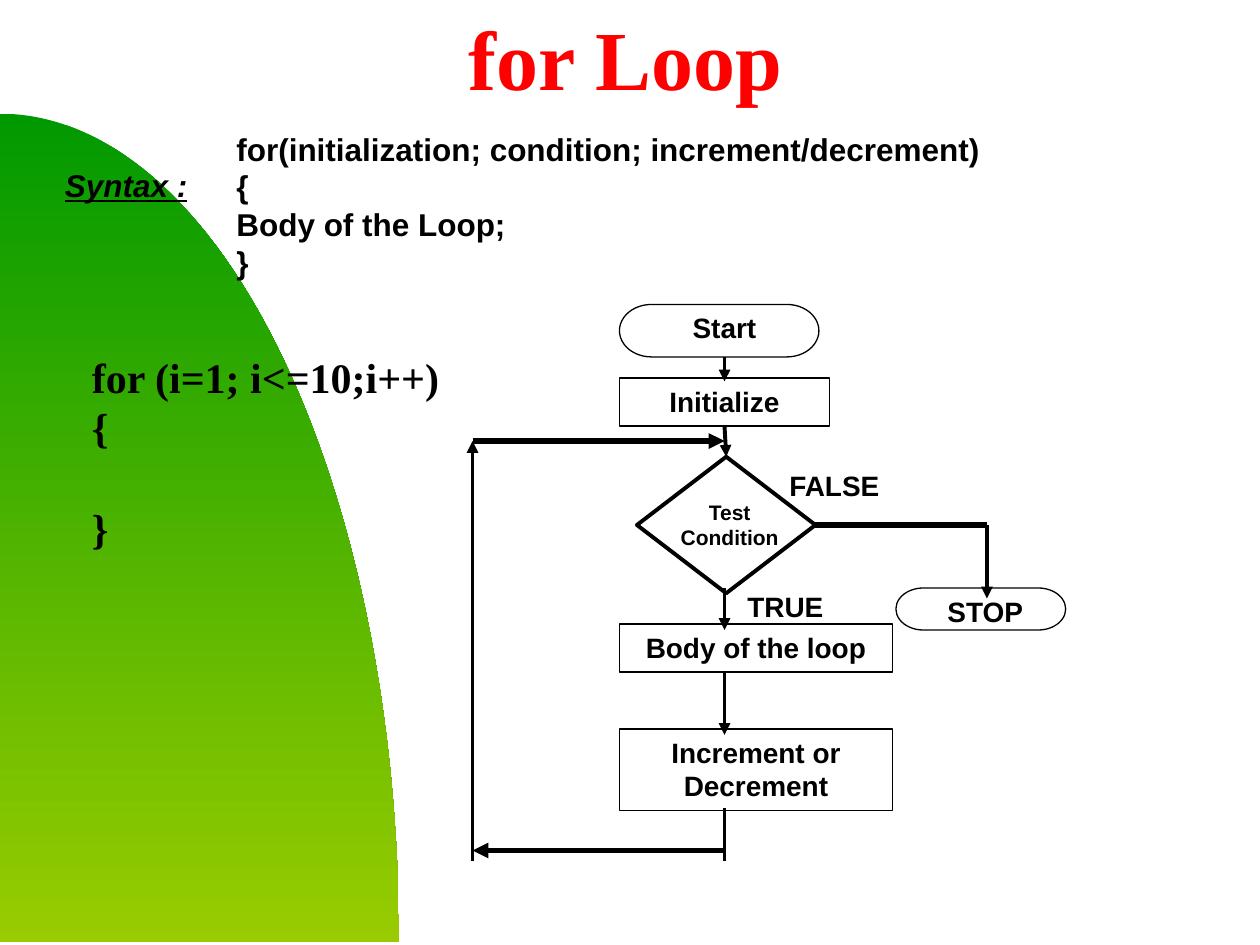
import math
from lxml import etree
from pptx import Presentation
from pptx import util as u
from pptx.dml.color import RGBColor
from pptx.enum import shapes, text
from pptx.oxml.ns import qn

BLACK = "000000"
LABEL = {"name": "Arial", "size": u.Pt(16), "bold": True}
SMALL = {**LABEL, "size": u.Pt(12)}
SYNTAX = {**LABEL, "size": u.Pt(18)}
HEADING = {**SYNTAX, "italic": True, "underline": True}
TITLE = {"name": "Times New Roman", "size": u.Pt(48), "bold": True}
CODE = {**TITLE, "size": u.Pt(24)}
LEFT, CENTER = text.PP_ALIGN.LEFT, text.PP_ALIGN.CENTER
TOP, BOTTOM, RIGHT = 0, 2, 3
FLOW_X, LOOP_X, STOP_X = 414, 270, 564
LOOP_TOP, LOOP_BOTTOM = 252, 486


def color(value):
    return RGBColor.from_string(value)


def write(shape, lines, style, align=LEFT, ink=BLACK):
    frame = shape.text_frame
    frame.word_wrap = True
    frame.vertical_anchor = text.MSO_ANCHOR.TOP
    frame.auto_size = text.MSO_AUTO_SIZE.SHAPE_TO_FIT_TEXT
    for index, line in enumerate(lines):
        para = frame.add_paragraph() if index else frame.paragraphs[0]
        para.alignment = align
        span = para.add_run()
        span.text = line
        for name, value in style.items():
            setattr(span.font, name, value)
        span.font.color.rgb = color(ink)
    return frame


def add_text(page, bounds, lines, style, align=LEFT, ink=BLACK):
    box = page.shapes.add_textbox(*map(u.Pt, bounds))
    return write(box, lines, style, align, ink)


def add_node(page, kind, bounds, label=None, width=0.75):
    node = page.shapes.add_shape(kind, *map(u.Pt, bounds))
    node.shadow.inherit = False
    node.fill.background()
    node.line.color.rgb = color(BLACK)
    node.line.width = u.Pt(width)
    if label:
        write(node, [label], LABEL, CENTER)
    return node


def add_line(page, start, end, width=2.25, arrow=True, source=None, target=None):
    line = page.shapes.add_connector(
        shapes.MSO_CONNECTOR.STRAIGHT, *map(u.Pt, (*start, *end)))
    if source:
        line.begin_connect(*source)
    if target:
        line.end_connect(*target)
    line.line.color.rgb = color(BLACK)
    line.line.width = u.Pt(width)
    if arrow:
        etree.SubElement(line.line._get_or_add_ln(), qn("a:tailEnd"), type="triangle")
    etree.SubElement(line._element.spPr, qn("a:effectLst"))


def add_backdrop(page, top=65, width=228, height=473.5, steps=90):
    angles = [math.pi / 2 * step / steps for step in range(steps + 1)]
    arc = [(width * math.sin(angle), top + height * (1 - math.cos(angle)))
           for angle in angles]
    builder = page.shapes.build_freeform(0, u.Pt(top), scale=1.0)
    builder.add_line_segments(
        [(u.Pt(x), u.Pt(y)) for x, y in arc[1:] + [(0, top + height)]], close=True)
    curve = builder.convert_to_shape()
    curve.shadow.inherit = False
    curve.line.fill.background()
    curve.fill.gradient()
    curve.fill.gradient_angle = 270
    for stop, position, value in zip(curve.fill.gradient_stops, (0, 1), ("009900", "99CC00")):
        stop.position = position
        stop.color.rgb = color(value)


def add_flowchart(page):
    kinds = shapes.MSO_SHAPE
    add_node(page, kinds.FLOWCHART_TERMINATOR, (354, 174, 114, 30))
    add_node(page, kinds.FLOWCHART_TERMINATOR, (512, 336, 97, 24))
    initialize = add_node(page, kinds.RECTANGLE, (354, 216, 120, 27.4), "Initialize")
    add_node(page, kinds.RECTANGLE, (354, 356.6, 156, 27.4), "Body of the loop")
    add_node(page, kinds.RECTANGLE, (354, 416.6, 156, 46.5), "Increment or Decrement")
    test = add_node(page, kinds.DIAMOND, (364, 261, 102, 78), width=2.25)

    add_text(page, (354, 174, 120, 26.6), ["Start"], LABEL, CENTER)
    add_text(page, (512, 336, 102, 26.6), ["STOP"], LABEL, CENTER)
    add_text(page, (378, 282, 78, 36), ["Test Condition"], SMALL, CENTER)
    add_text(page, (420, 333.5, 78, 26.6), ["TRUE"], LABEL)
    add_text(page, (444, 264, 78, 26.6), ["FALSE"], LABEL)

    for start, end in ((204, 218), (336, 360), (384, 420)):
        add_line(page, (FLOW_X, start), (FLOW_X, end))
    add_line(page, (FLOW_X, 243.4), (FLOW_X, 261),
             source=(initialize, BOTTOM), target=(test, TOP))
    add_line(page, (FLOW_X, 462), (FLOW_X, 492), arrow=False)
    add_line(page, (FLOW_X, LOOP_BOTTOM), (LOOP_X, LOOP_BOTTOM), 3)
    add_line(page, (LOOP_X, 492), (LOOP_X, LOOP_TOP))
    add_line(page, (LOOP_X, LOOP_TOP), (FLOW_X, LOOP_TOP), 3)
    add_line(page, (466, 300), (STOP_X, 300), 3, arrow=False, source=(test, RIGHT))
    add_line(page, (STOP_X, 300), (STOP_X, 342))


def main():
    deck = Presentation()
    deck.slide_width, deck.slide_height = u.Pt(720), u.Pt(540)
    page = deck.slides.add_slide(deck.slide_layouts[6])
    add_backdrop(page)
    add_text(page, (30, 91.5, 126, 29), ["Syntax :"], HEADING)
    add_flowchart(page)
    add_text(page, (177, 0, 361, 65.5), ["for Loop"], TITLE, CENTER, "FF0000")
    add_text(page, (128, 70.5, 452, 94.5),
             ["for(initialization; condition; increment/decrement)", "{",
              "Body of the Loop;", "}"], SYNTAX)
    code = add_text(page, (45.4, 197.3, 361, 124), ["for (i=1; i<=10;i++)", "{", "}"], CODE)
    code.paragraphs[-1].space_before = u.Pt(28.5)
    deck.save("out.pptx")


if __name__ == "__main__":
    main()
